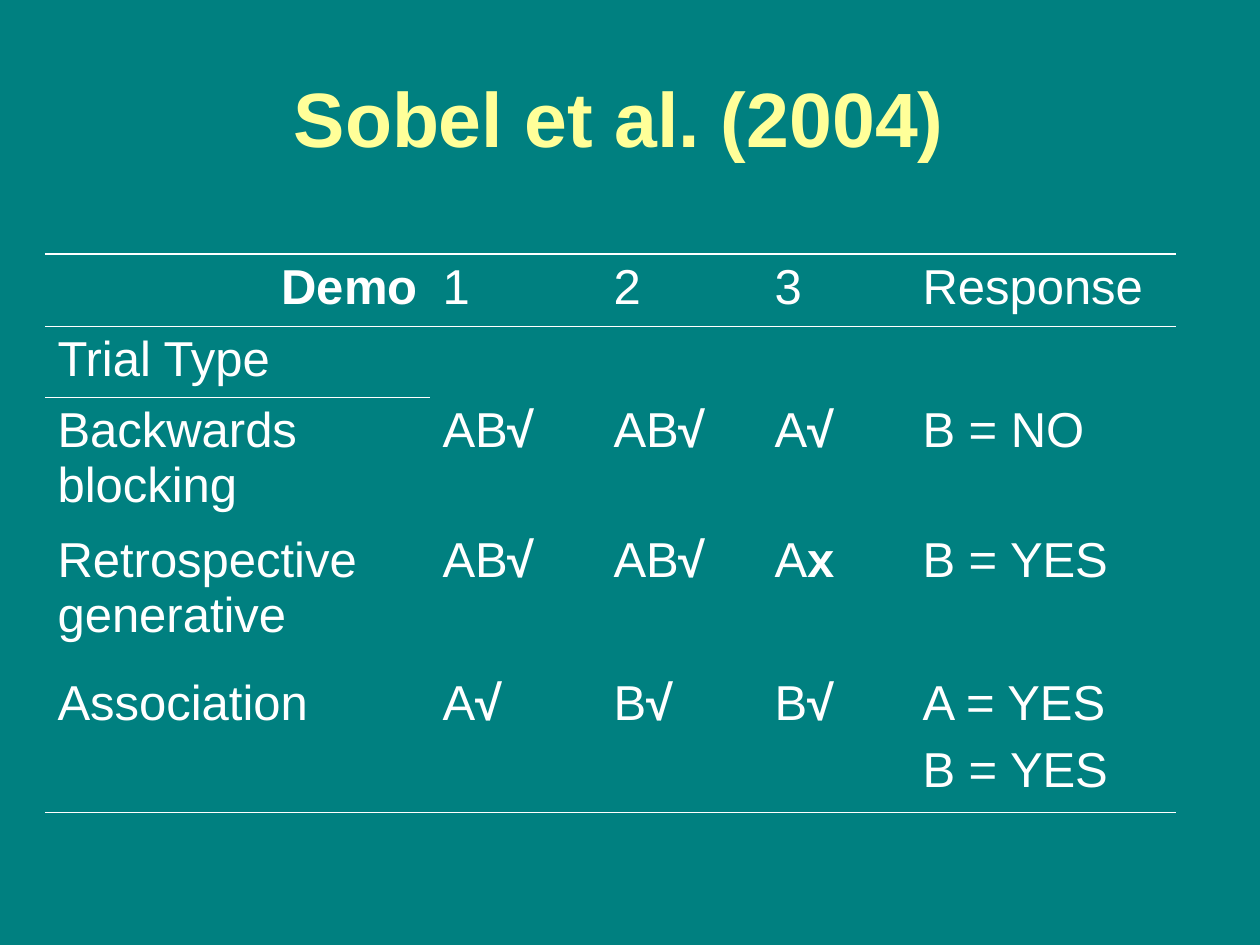
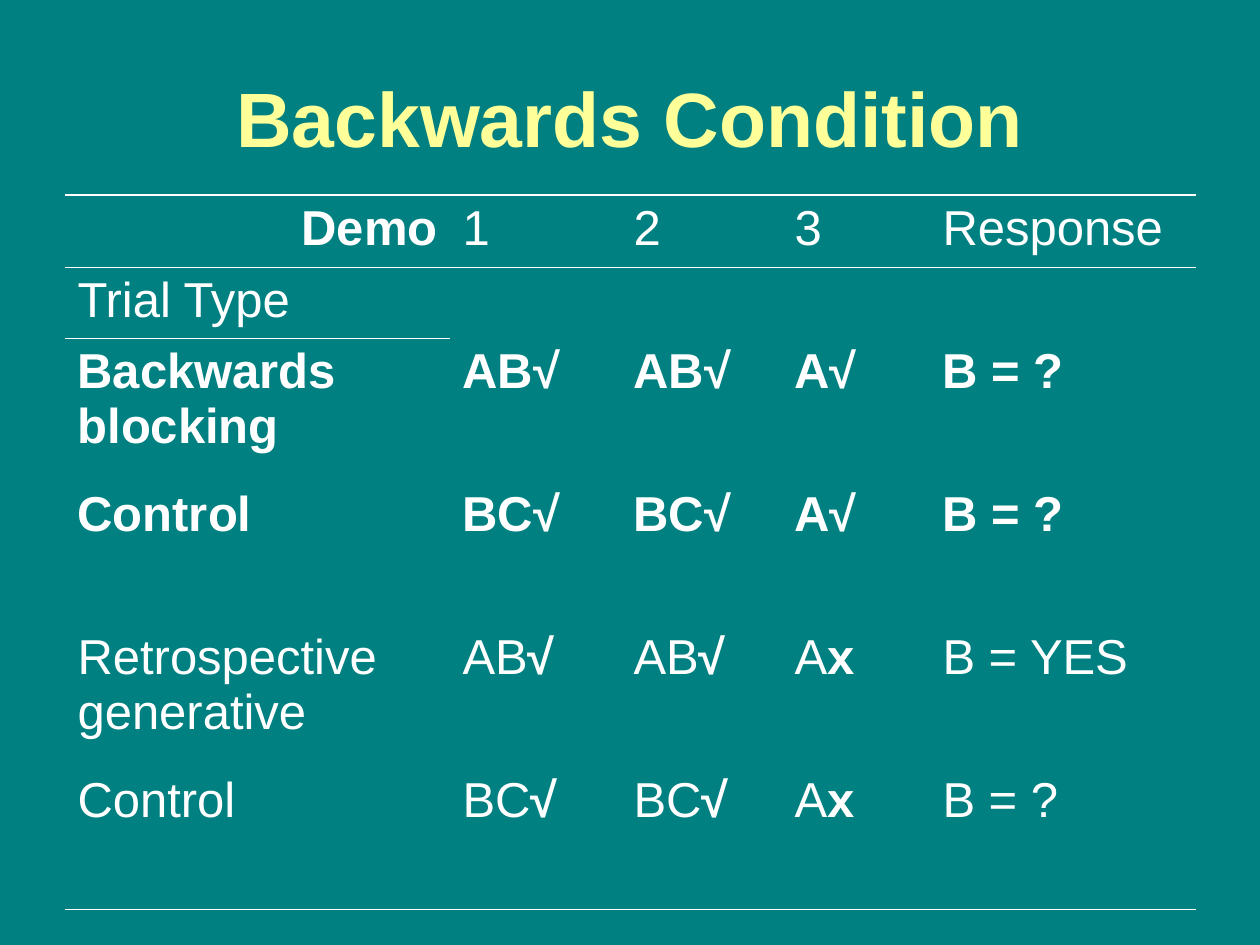
import itertools

import lxml.etree
import pptx
import pptx.dml.color
import pptx.enum.text
import pptx.oxml.ns
import pptx.util

EMU_PER_PX = 914400 / 126
COLORS = {"background": "008080", "title": "FFFF99", "text": "FFFFFF"}
FONT = "Arial"
TITLE_PT, CELL_PT, PARAGRAPH_GAP_PT = 44, 28, 7
HEAVY_RULE_PT, THIN_RULE_PT = 1.08, 0.45
COLUMN_WIDTHS = [385, 171, 161, 148, 266]
HEAD_HEIGHTS = [72, 71]
HEAD_ROWS = [["Demo", "1", "2", "3", "Response"], ["Trial Type", "", "", "", ""]]
MARKS = "√x"


def px(n):
    return pptx.util.Emu(round(n * EMU_PER_PX))


def rgb(name):
    return pptx.dml.color.RGBColor.from_string(COLORS[name])


def add_run(p, text, size, color, bold):
    r = p.add_run()
    r.text = text
    r.font.name = FONT
    r.font.size = pptx.util.Pt(size)
    r.font.bold = bold
    r.font.color.rgb = rgb(color)


def add_titled_slide(prs, title):
    slide = prs.slides.add_slide(prs.slide_layouts[5])
    sp = slide.shapes.title
    sp.left, sp.top, sp.width, sp.height = px(63), px(38), px(1134), px(158)
    tf = sp.text_frame
    tf.auto_size = pptx.enum.text.MSO_AUTO_SIZE.NONE
    tf.vertical_anchor = pptx.enum.text.MSO_ANCHOR.MIDDLE
    p = tf.paragraphs[0]
    p.alignment = pptx.enum.text.PP_ALIGN.CENTER
    add_run(p, title, TITLE_PT, "title", True)
    return slide


def write_cell(cell, text, bold):
    """Write one paragraph per line; marks are bold even in a plain row."""
    tf = cell.text_frame
    for i, line in enumerate(text.split("\n")):
        p = tf.add_paragraph() if i else tf.paragraphs[0]
        if i:
            p.space_before = pptx.util.Pt(PARAGRAPH_GAP_PT)
        for strong, chars in itertools.groupby(line, lambda ch: bold or ch in MARKS):
            add_run(p, "".join(chars), CELL_PT, "text", strong)


def rule_width(edge, col, last_edge):
    """Return the width in points of the rule on a horizontal row edge."""
    if edge == 0:
        return HEAVY_RULE_PT
    if edge in (1, last_edge) or (edge == 2 and col == 0):
        return THIN_RULE_PT
    return 0


def set_borders(cell, top, bottom):
    qn = pptx.oxml.ns.qn
    tc_pr = cell._tc.get_or_add_tcPr()
    for tag, width in [("a:lnL", 0), ("a:lnR", 0), ("a:lnT", top), ("a:lnB", bottom)]:
        ln = lxml.etree.SubElement(tc_pr, qn(tag), w=str(pptx.util.Pt(width)))
        if width:
            fill = lxml.etree.SubElement(ln, qn("a:solidFill"))
            lxml.etree.SubElement(fill, qn("a:srgbClr"), val=COLORS["text"])
        else:
            lxml.etree.SubElement(ln, qn("a:noFill"))


def add_trial_table(slide, left, top, trials, heights, bold_trials=0):
    """Add the head rows and the trials, the first bold_trials of them in bold."""
    rows = HEAD_ROWS + trials
    heights = HEAD_HEIGHTS + heights
    table = slide.shapes.add_table(
        len(rows), len(COLUMN_WIDTHS), px(left), px(top),
        px(sum(COLUMN_WIDTHS)), px(sum(heights))).table
    table.first_row = table.horz_banding = False
    for column, width in zip(table.columns, COLUMN_WIDTHS):
        column.width = px(width)
    for i, (row, height) in enumerate(zip(rows, heights)):
        table.rows[i].height = px(height)
        bold = 0 <= i - len(HEAD_ROWS) < bold_trials
        for j, text in enumerate(row):
            cell = table.cell(i, j)
            write_cell(cell, text, bold or i == j == 0)
            set_borders(cell, rule_width(i, j, len(rows)), rule_width(i + 1, j, len(rows)))
            cell.fill.background()
    table.cell(0, 0).text_frame.paragraphs[0].alignment = pptx.enum.text.PP_ALIGN.RIGHT


def main():
    prs = pptx.Presentation()
    prs.slide_width, prs.slide_height = px(1260), px(945)
    fill = prs.slide_master.background.fill
    fill.solid()
    fill.fore_color.rgb = rgb("background")

    retrospective = ["Retrospective generative", "AB√", "AB√", "Ax", "B = YES"]

    slide = add_titled_slide(prs, "Sobel et al. (2004) ")
    add_trial_table(slide, 45, 254, [
        ["Backwards blocking", "AB√", "AB√", "A√", "B = NO"],
        retrospective,
        ["Association", "A√", "B√", "B√", "A = YES\nB = YES"],
    ], [130, 143, 143])

    slide = add_titled_slide(prs, "Backwards Condition")
    add_trial_table(slide, 65, 195, [
        ["Backwards blocking", "AB√", "AB√", "A√", "B = ?"],
        ["Control", "BC√", "BC√", "A√", "B = ?"],
        retrospective,
        ["Control", "BC√", "BC√", "Ax", "B = ?"],
    ], [143] * 4, bold_trials=2)

    prs.save("out.pptx")


if __name__ == "__main__":
    main()
